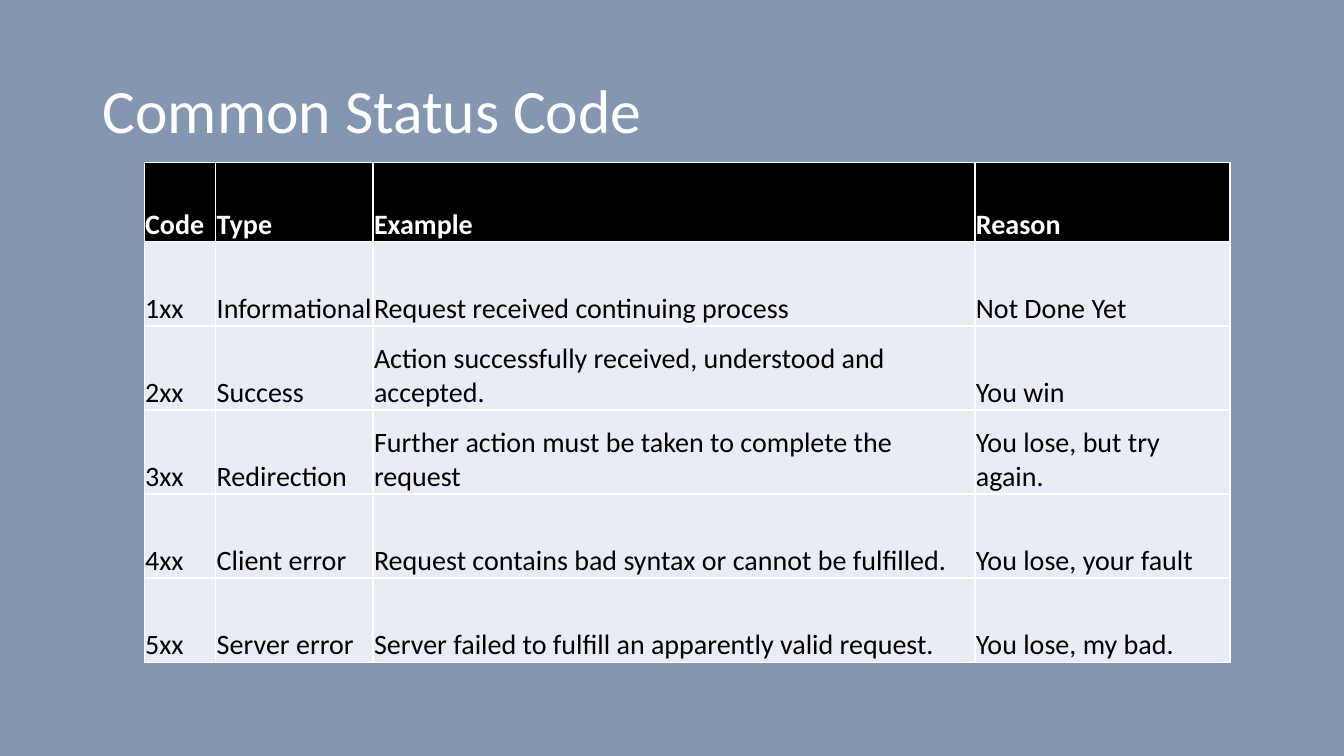
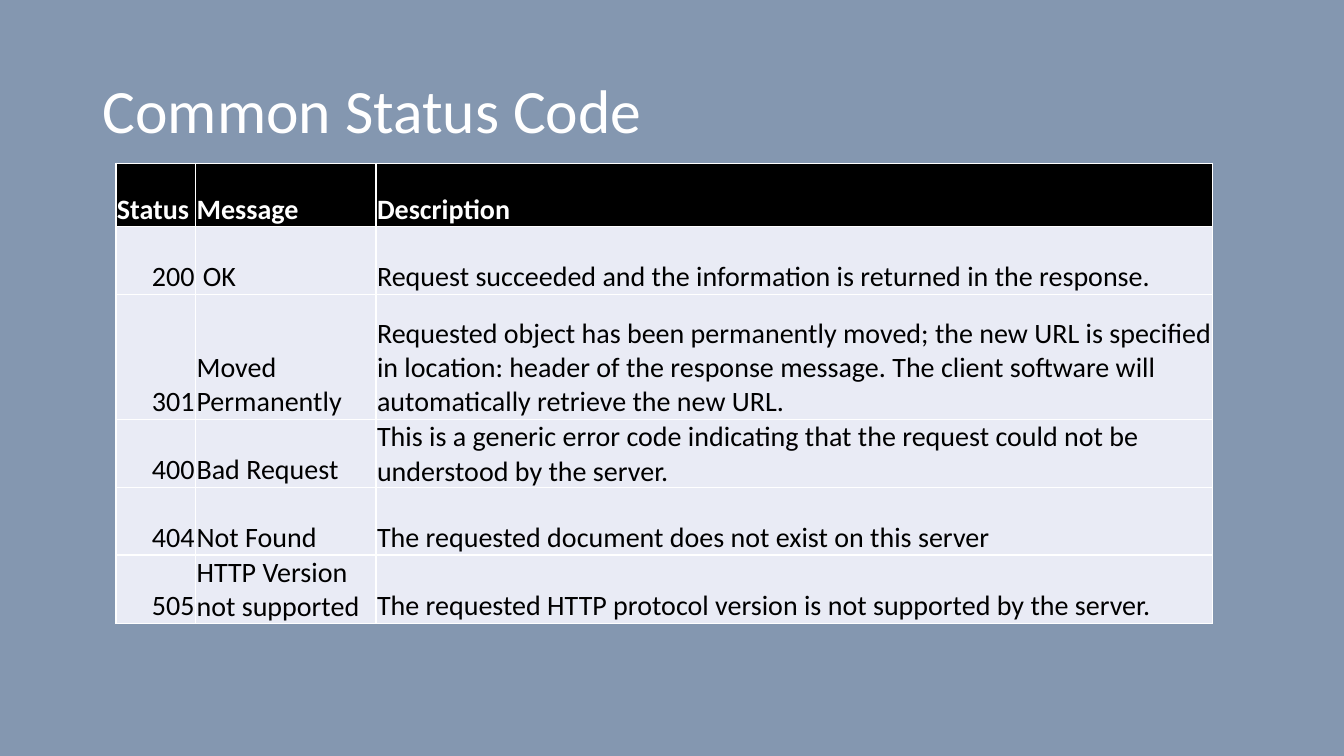
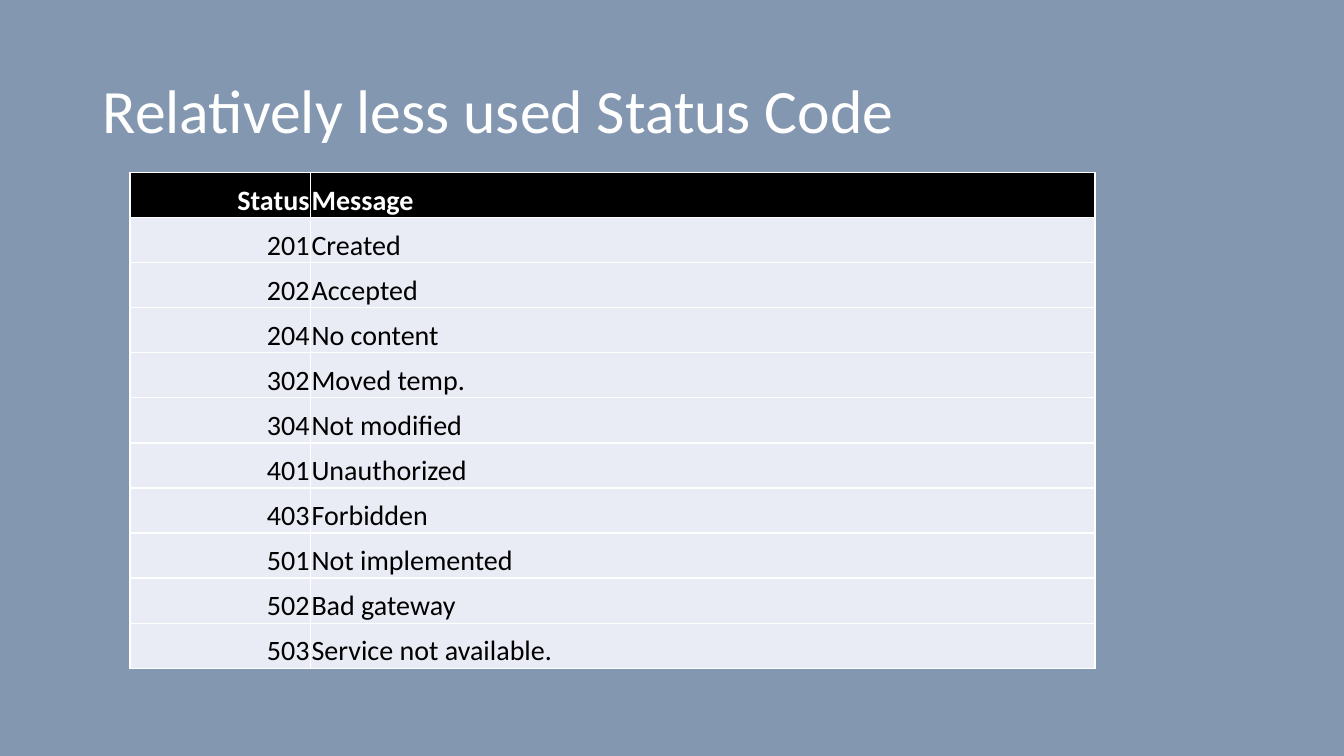
from dataclasses import dataclass, field

import pptx
import pptx.dml.color
import pptx.enum.text
import pptx.oxml
import pptx.oxml.ns
import pptx.presentation
import pptx.slide
import pptx.table
import pptx.text.text
import pptx.util

Inches = pptx.util.Inches
Pt = pptx.util.Pt
Color = pptx.dml.color.RGBColor
Align = pptx.enum.text.PP_ALIGN
Anchor = pptx.enum.text.MSO_ANCHOR


@dataclass(frozen=True)
class Theme:
    font: str = "Calibri"
    back: str = "8497B0"
    white: str = "FFFFFF"
    black: str = "000000"
    pale: str = "E9EBF5"
    title: int = 44
    body: int = 20
    rule: int = 1


@dataclass(frozen=True)
class Page:
    title: str
    left: float
    top: float
    height: float
    head: float
    widths: tuple[float, ...]
    rows: tuple[tuple[str, ...], ...]
    tall: dict[int, float] = field(default_factory=dict)
    right: bool = False


THEME = Theme()

PAGES = (
    Page(
        "Common Status Code", 1.43, 1.61, 4.96, 0.79, (0.71, 1.56, 5.97, 2.53),
        (
            ("Code", "Type", "Example", "Reason"),
            ("1xx", "Informational", "Request received continuing process", "Not Done Yet"),
            ("2xx", "Success", "Action successfully received, understood and accepted.", "You win"),
            ("3xx", "Redirection", "Further action must be taken to complete the request",
             "You lose, but try again."),
            ("4xx", "Client error", "Request contains bad syntax or cannot be fulfilled.",
             "You lose, your fault"),
            ("5xx", "Server error", "Server failed to fulfill an apparently valid request.",
             "You lose, my bad."),
        ),
    ),
    Page(
        "Common Status Code", 1.15, 1.62, 4.55, 0.63, (0.79, 1.79, 8.3),
        (
            ("Status", "Message", "Description"),
            ("200", " OK", "Request succeeded and the information is returned in the response."),
            ("301", "Moved Permanently",
             "Requested object has been permanently moved; the new URL is specified in location: "
             "header of the response message. The client software will automatically retrieve "
             "the new URL."),
            ("400", "Bad Request",
             "This is a generic error code indicating that the request could not be understood "
             "by the server."),
            ("404", "Not Found", "The requested document does not exist on this server"),
            ("505", "HTTP Version not supported",
             "The requested HTTP protocol version is not supported by the server."),
        ),
        tall={2: 1.24},
    ),
    Page(
        "Relatively less used Status Code", 1.29, 1.71, 4.92, 0.45, (1.79, 7.78),
        (
            ("Status", "Message"),
            ("201", "Created"),
            ("202", "Accepted"),
            ("204", "No content"),
            ("302", "Moved temp."),
            ("304", "Not modified"),
            ("401", "Unauthorized"),
            ("403", "Forbidden"),
            ("501", "Not implemented"),
            ("502", "Bad gateway"),
            ("503", "Service not available."),
        ),
        right=True,
    ),
)


def write(frame: pptx.text.text.TextFrame, text: str, *, size: int, color: str,
          bold: bool = False, align: Align = Align.LEFT, space: float = 1.0) -> None:
    frame.word_wrap = True
    line = frame.paragraphs[0]
    line.alignment = align
    line.line_spacing = space
    run = line.add_run()
    run.text = text
    run.font.name = THEME.font
    run.font.size = Pt(size)
    run.font.bold = bold
    run.font.color.rgb = Color.from_string(color)


def edge(cell: pptx.table._Cell) -> None:
    props = cell._tc.get_or_add_tcPr()
    for side in "LRTB":
        props.append(pptx.oxml.parse_xml(
            f'<a:ln{side} {pptx.oxml.ns.nsdecls("a")} w="{Pt(THEME.rule)}">'
            f'<a:solidFill><a:srgbClr val="{THEME.white}"/></a:solidFill></a:ln{side}>'))


def style(cell: pptx.table._Cell, text: str, head: bool, right: bool) -> None:
    cell.margin_left = cell.margin_right = cell.margin_top = Inches(0.01)
    cell.margin_bottom = 0
    cell.vertical_anchor = Anchor.BOTTOM
    edge(cell)
    cell.fill.solid()
    cell.fill.fore_color.rgb = Color.from_string(THEME.black if head else THEME.pale)
    write(cell.text_frame, text, size=THEME.body, bold=head,
          color=THEME.white if head else THEME.black,
          align=Align.RIGHT if right else Align.LEFT)


def title(slide: pptx.slide.Slide, text: str) -> None:
    box = slide.shapes.add_textbox(Inches(0.92), Inches(0.4), Inches(12.14), Inches(1.45))
    box.text_frame.vertical_anchor = Anchor.MIDDLE
    write(box.text_frame, text, size=THEME.title, color=THEME.white, space=0.9)


def grid(slide: pptx.slide.Slide, page: Page) -> None:
    table = slide.shapes.add_table(
        len(page.rows), len(page.widths), Inches(page.left), Inches(page.top),
        Inches(sum(page.widths)), Inches(page.height)).table
    table.horz_banding = False
    for col, width in zip(table.columns, page.widths):
        col.width = Inches(width)
    fixed = {0: page.head, **page.tall}
    even = (page.height - sum(fixed.values())) / (len(page.rows) - len(fixed))
    for y, texts in enumerate(page.rows):
        table.rows[y].height = Inches(fixed.get(y, even))
        for x, text in enumerate(texts):
            right = text.isdigit() or (page.right and x == 0)
            style(table.cell(y, x), text, y == 0, right)


def main() -> None:
    deck = pptx.Presentation()
    deck.slide_width = Inches(13.33)
    deck.slide_height = Inches(7.5)
    fill = deck.slide_master.background.fill
    fill.solid()
    fill.fore_color.rgb = Color.from_string(THEME.back)
    for page in PAGES:
        slide = deck.slides.add_slide(deck.slide_layouts[6])
        title(slide, page.title)
        grid(slide, page)
    deck.save("out.pptx")


if __name__ == "__main__":
    main()
